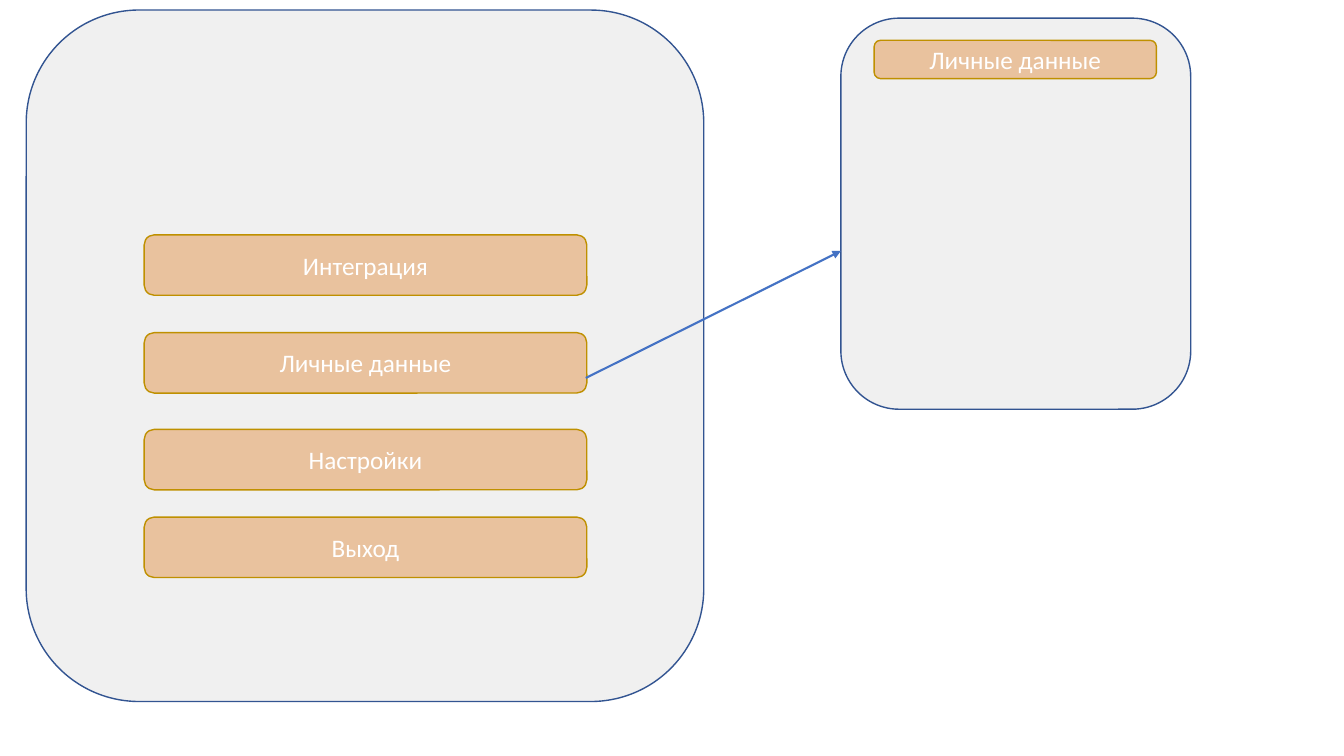
"""Build a slide with a menu panel linked to its personal data screen."""
from lxml.etree import SubElement
from pptx import Presentation
from pptx.dml.color import RGBColor
from pptx.enum.shapes import MSO_CONNECTOR as Connector, MSO_SHAPE as Shape
from pptx.enum.text import MSO_ANCHOR as Anchor, PP_ALIGN as Align
from pptx.oxml.ns import qn
from pptx.util import Inches, Pt

COLORS = {
    "panel": "F0F0F0",
    "panel_line": "325491",
    "button": "E9C29E",
    "button_line": "BF9000",
    "text": "FFFFFF",
    "arrow": "4472C4",
}


def color(name):
    return RGBColor.from_string(COLORS[name])


def add_rounded(shapes, kind, left, top, width, height, label=""):
    box = shapes.add_shape(
        Shape.ROUNDED_RECTANGLE, Inches(left), Inches(top), Inches(width), Inches(height)
    )
    box.shadow.inherit = False
    box.fill.solid()
    box.fill.fore_color.rgb = color(kind)
    box.line.color.rgb = color(kind + "_line")
    box.line.width = Pt(1)
    if label:
        frame = box.text_frame
        frame.word_wrap = True
        frame.vertical_anchor = Anchor.MIDDLE
        para = frame.paragraphs[0]
        para.alignment = Align.CENTER
        span = para.add_run()
        span.text = label
        span.font.name = "Calibri"
        span.font.size = Pt(18)
        span.font.color.rgb = color("text")


deck = Presentation()
deck.slide_width, deck.slide_height = Inches(13.33), Inches(7.5)
page = deck.slides.add_slide(deck.slide_layouts[6])

menu = page.shapes.add_group_shape()
add_rounded(menu.shapes, "panel", 0.26, 0.1, 6.72, 6.86)
menu_items = [
    ("Интеграция", 2.33),
    ("Личные данные", 3.3),
    ("Настройки", 4.26),
    ("Выход", 5.13),
]
for label, top in menu_items:
    add_rounded(menu.shapes, "button", 1.43, top, 4.39, 0.6, label)

add_rounded(page.shapes, "panel", 8.34, 0.18, 3.47, 3.88)

arrow = page.shapes.add_connector(
    Connector.STRAIGHT, Inches(5.81), Inches(3.75), Inches(8.34), Inches(2.49)
)
arrow.line.color.rgb = color("arrow")
arrow.line.width = Pt(1.5)
SubElement(arrow.line._get_or_add_ln(), qn("a:tailEnd"), type="triangle")
SubElement(arrow._element.spPr, qn("a:effectLst"))

add_rounded(page.shapes, "button", 8.67, 0.4, 2.8, 0.38, "Личные данные")

deck.save("out.pptx")
